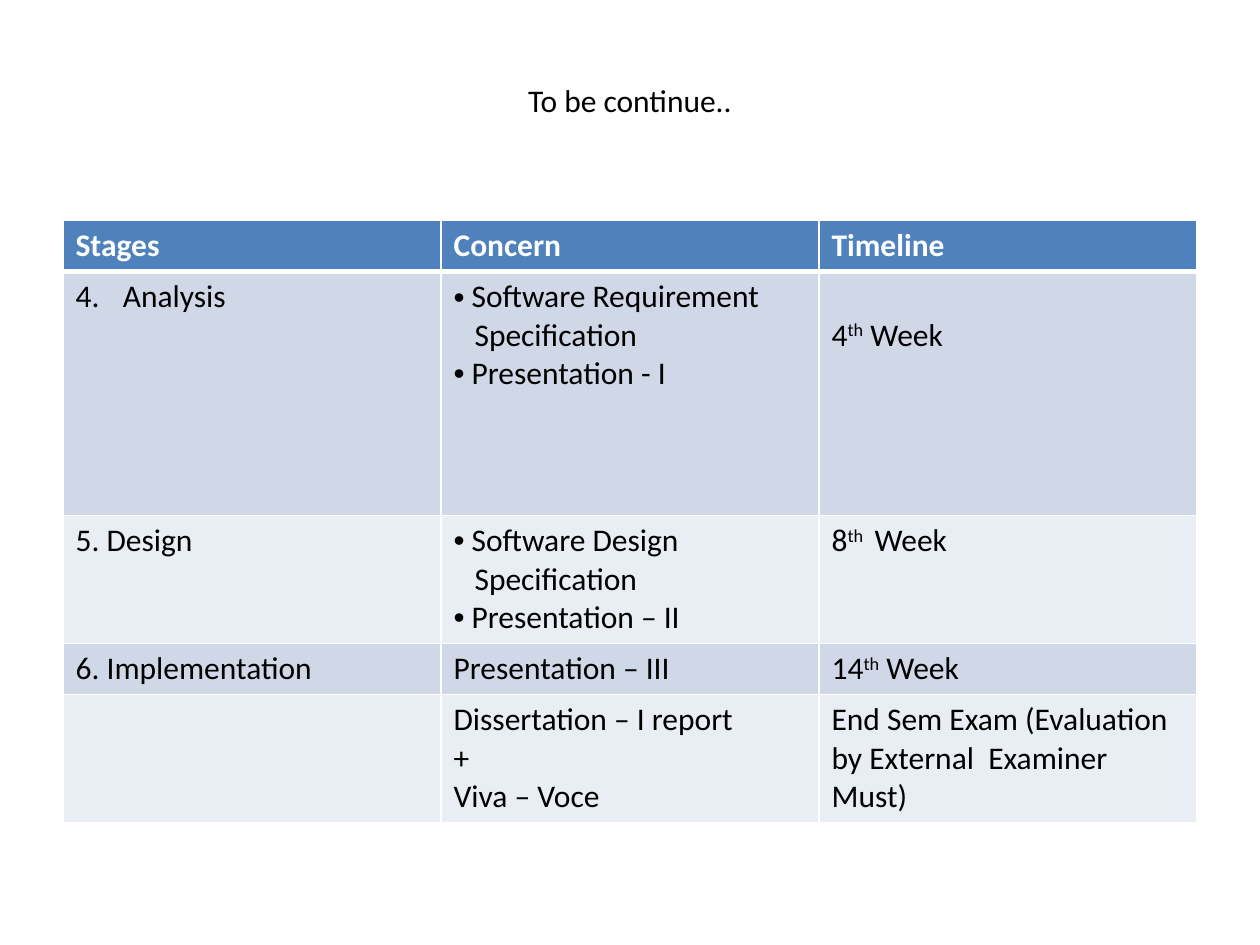
from lxml import etree
from pptx import Presentation
from pptx.dml.color import RGBColor
from pptx.enum.text import MSO_ANCHOR, PP_ALIGN
from pptx.oxml.ns import qn
from pptx.util import Pt

CENTER = PP_ALIGN.CENTER
MIDDLE = MSO_ANCHOR.MIDDLE
FONT, SIZE = "Calibri", 18
BLACK, WHITE = "000000", "FFFFFF"
HEADER_FILL, BAND_FILLS = "4F81BD", ("D0D8E8", "E9EDF4")
COLUMN_WIDTH = 216
ROW_HEIGHTS = (29.2, 139.4, 73.2, 29.2, 73.2)
LINE_HEIGHT, CELL_MARGIN = 22, 3.6
BULLET_INDENT, CONTINUATION_INDENT, NUMBER_INDENT = 10.3, 12, 27

# A cell is a list of paragraphs: (style, runs); a run starting with ^ is superscript.
ROWS = (
    ([("plain", ["Stages"])], [("plain", ["Concern"])], [("plain", ["Timeline"])]),
    ([("number", ["Analysis"])],
     [("bullet", ["Software Requirement"]), ("continuation", ["Specification"]),
      ("bullet", ["Presentation - I"])],
     [("plain", ["4", "^th", " Week"])]),
    ([("plain", ["5. Design"])],
     [("bullet", ["Software Design"]), ("continuation", ["Specification"]),
      ("bullet", ["Presentation – II"])],
     [("plain", ["8", "^th ", " Week"])]),
    ([("plain", ["6. Implementation"])],
     [("plain", ["Presentation – III"])],
     [("plain", ["14", "^th", " Week"])]),
    ([],
     [("plain", ["Dissertation – I report"]), ("plain", ["+"]),
      ("plain", ["Viva – Voce"])],
     [("plain", ["End Sem Exam (Evaluation by External  Examiner Must)"])]),
)


def rgb(color):
    """Turn a hex string into a colour."""
    return RGBColor.from_string(color)


def add_run(paragraph, text, color, bold=False):
    """Add one run; a leading ^ raises it."""
    run = paragraph.add_run()
    run.text = text.removeprefix("^")
    font = run.font
    font.name, font.size, font.bold = FONT, Pt(SIZE), bold
    font.color.rgb = rgb(color)
    if text.startswith("^"):
        run._r.get_or_add_rPr().set("baseline", "30000")


def set_list_style(paragraph, style):
    """Give a paragraph its indent and its bullet or number."""
    properties = paragraph._p.get_or_add_pPr()
    left, first = {
        "plain": (0, 0),
        "bullet": (BULLET_INDENT, -BULLET_INDENT),
        "continuation": (CONTINUATION_INDENT, 0),
        "number": (NUMBER_INDENT, -NUMBER_INDENT),
    }[style]
    properties.set("marL", str(Pt(left)))
    properties.set("indent", str(Pt(first)))
    if style == "bullet":
        etree.SubElement(properties, qn("a:buFont"), typeface="Arial")
        etree.SubElement(properties, qn("a:buChar"), char="•")
    elif style == "number":
        etree.SubElement(properties, qn("a:buAutoNum"), type="arabicPeriod", startAt="4")


def set_borders(cell, widths):
    """Draw white cell borders; widths maps each side to points."""
    properties = cell._tc.get_or_add_tcPr()
    for side, width in widths.items():
        line = etree.SubElement(properties, qn(f"a:ln{side}"), w=str(Pt(width)))
        fill = etree.SubElement(line, qn("a:solidFill"))
        etree.SubElement(fill, qn("a:srgbClr"), val=WHITE)


def fill_cell(cell, paragraphs, row_index):
    """Write and style one table cell."""
    header = row_index == 0
    set_borders(cell, {"L": 1, "R": 1, "T": 3 if row_index == 1 else 1,
                       "B": 3 if header else 1})
    cell.fill.solid()
    cell.fill.fore_color.rgb = rgb(HEADER_FILL if header else BAND_FILLS[(row_index - 1) % 2])
    frame = cell.text_frame
    for index, (style, runs) in enumerate(paragraphs):
        paragraph = frame.add_paragraph() if index else frame.paragraphs[0]
        set_list_style(paragraph, style)
        for text in runs:
            add_run(paragraph, text, WHITE if header else BLACK, header)


def add_title(slide, text):
    """Add the centred title."""
    shape = slide.shapes.add_textbox(Pt(36), Pt(30), Pt(648), Pt(54))
    frame = shape.text_frame
    frame.word_wrap = True
    frame.vertical_anchor = MIDDLE
    paragraph = frame.paragraphs[0]
    paragraph.alignment = CENTER
    add_run(paragraph, text, BLACK)


def add_stage_table(slide):
    """Add the table of stages, concerns and timeline."""
    columns = len(ROWS[0])
    shape = slide.shapes.add_table(len(ROWS), columns, Pt(36), Pt(126),
                                   Pt(COLUMN_WIDTH * columns), Pt(sum(ROW_HEIGHTS)))
    table = shape.table
    for column in table.columns:
        column.width = Pt(COLUMN_WIDTH)
    for row_index, (row, height) in enumerate(zip(ROWS, ROW_HEIGHTS)):
        table.rows[row_index].height = Pt(height)
        for column_index, paragraphs in enumerate(row):
            fill_cell(table.cell(row_index, column_index), paragraphs, row_index)
    # The first week stands one line lower than its neighbours.
    table.cell(1, 2).margin_top = Pt(CELL_MARGIN + LINE_HEIGHT)


def main():
    """Build and save the slide."""
    presentation = Presentation()
    presentation.slide_width, presentation.slide_height = Pt(720), Pt(540)
    slide = presentation.slides.add_slide(presentation.slide_layouts[6])
    add_title(slide, "To be continue..")
    add_stage_table(slide)
    presentation.save("out.pptx")


main()
